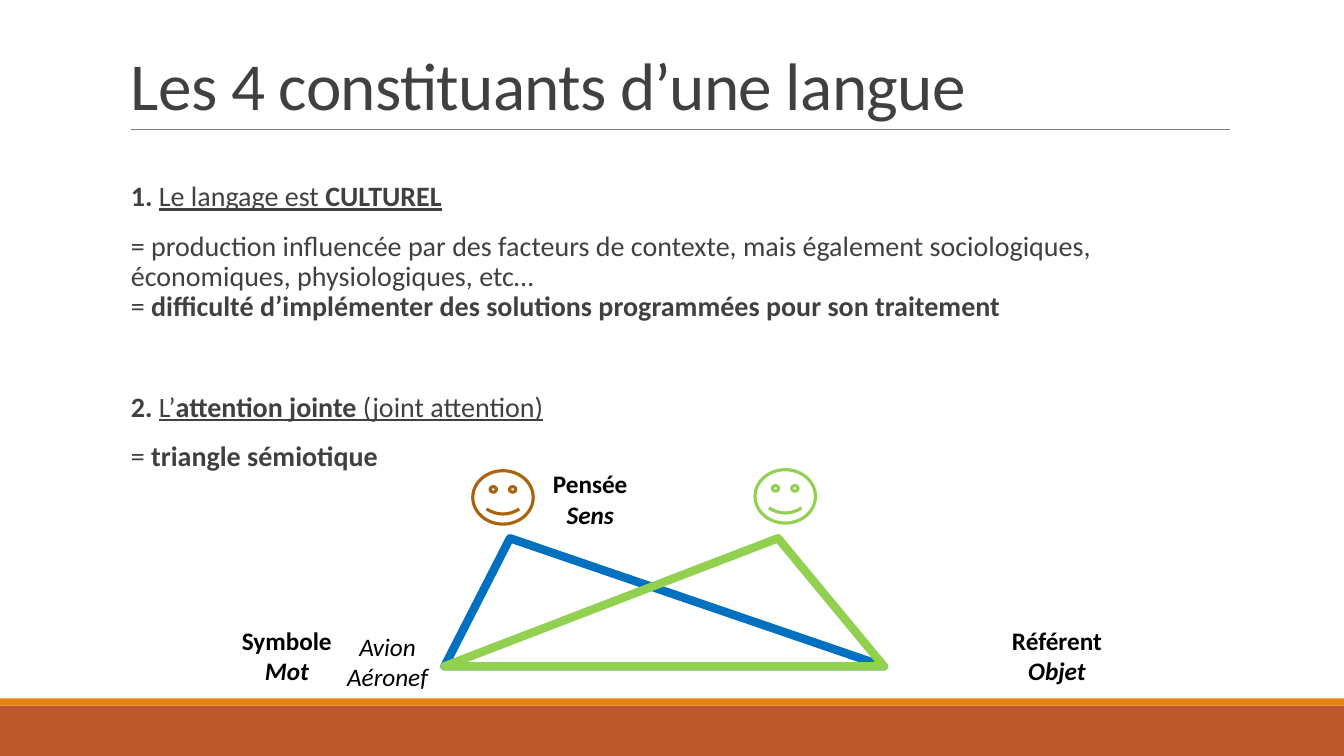
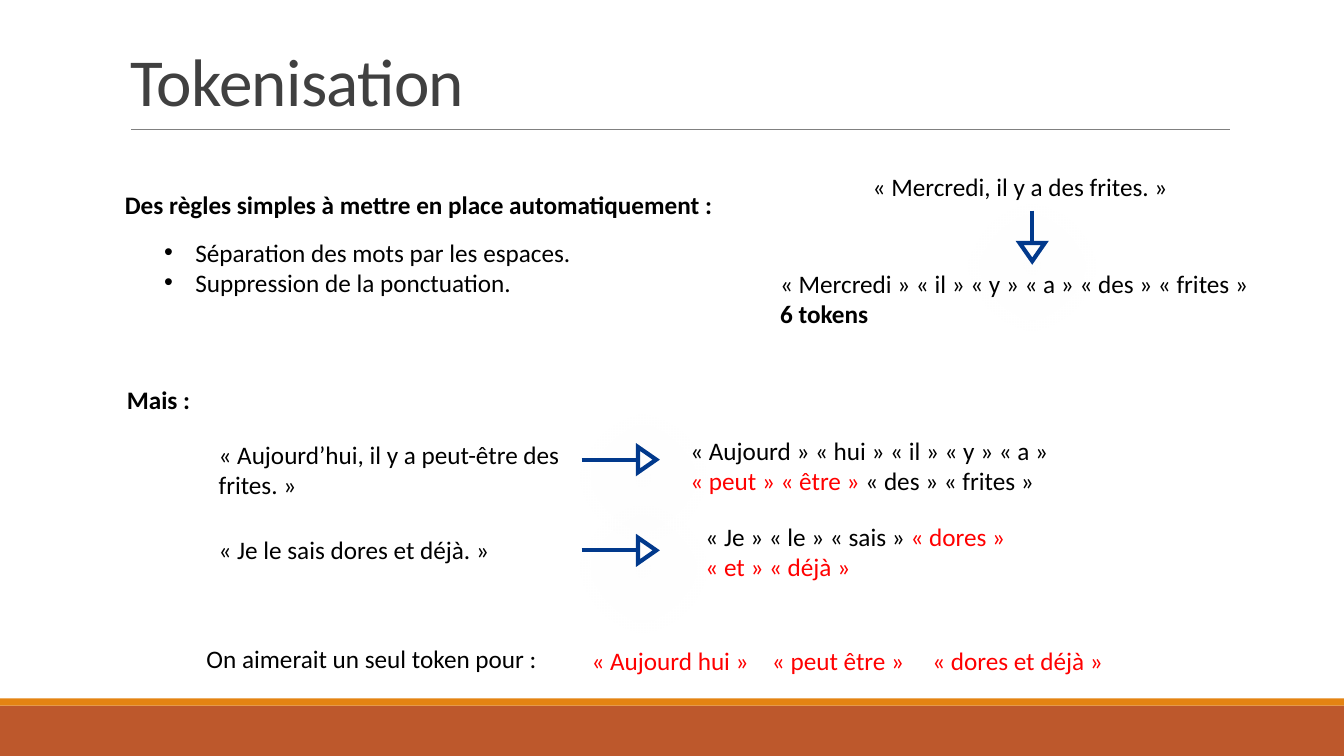
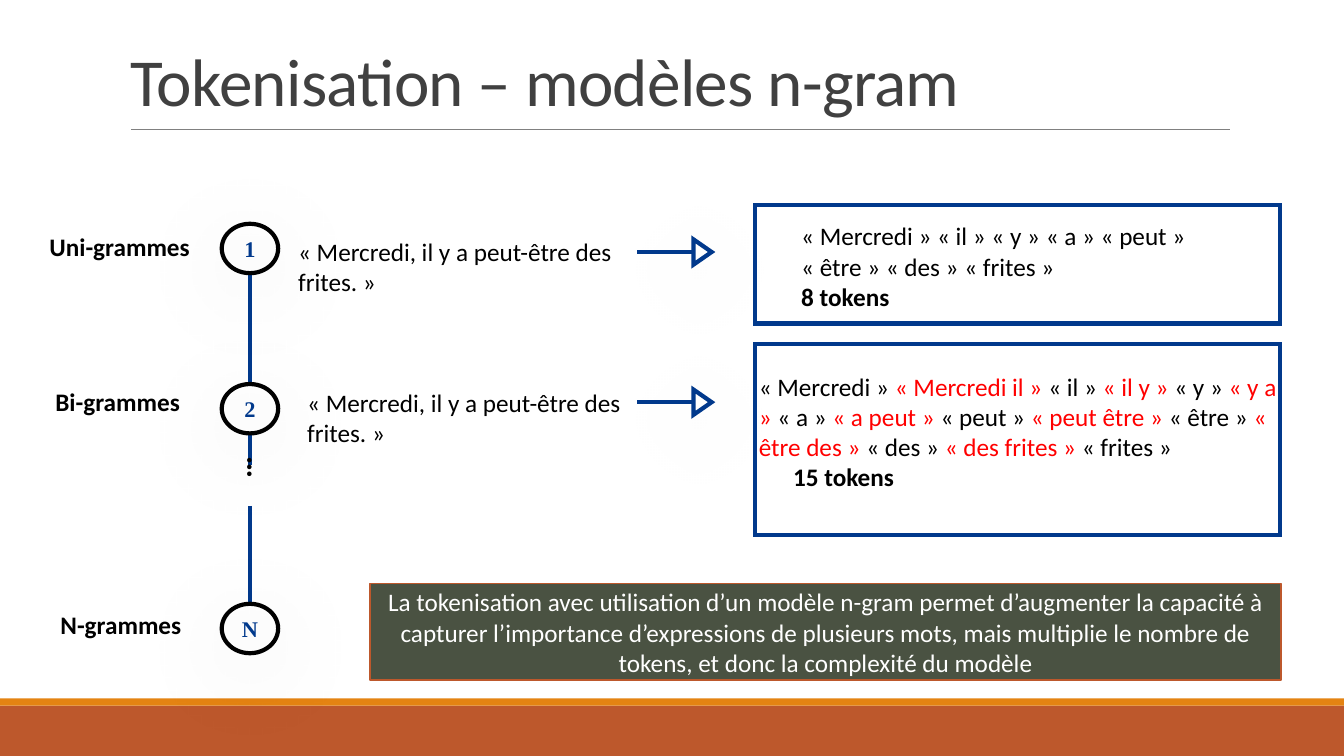
from dataclasses import dataclass
from itertools import zip_longest
from typing import NamedTuple, Optional

from lxml.etree import SubElement
from pptx import Presentation
from pptx.dml.color import RGBColor
from pptx.enum.shapes import MSO_CONNECTOR, MSO_SHAPE as Geo
from pptx.enum.text import MSO_ANCHOR as Anchor, PP_ALIGN as Align
from pptx.oxml.ns import qn
from pptx.util import Inches, Pt

COLS, ROWS = 133.33, 75  # grid cells of a tenth of an inch
NBSP = chr(160)


def cells(n: float) -> int:
    return Inches(n / 10)


def rgb(code: str) -> RGBColor:
    return RGBColor.from_string(code)


@dataclass(frozen=True)
class Theme:
    font: str = "Calibri"
    node_font: str = "Times New Roman"
    title: float = 48
    lead: float = 20
    body: float = 18
    node: float = 16
    dots: float = 22
    thick: float = 3
    black: RGBColor = rgb("000000")
    white: RGBColor = rgb("FFFFFF")
    grey: RGBColor = rgb("404040")
    rule: RGBColor = rgb("808080")
    band: RGBColor = rgb("BD582C")
    stripe: RGBColor = rgb("E48312")
    red: RGBColor = rgb("FF0000")
    navy: RGBColor = rgb("01398C")
    blue: RGBColor = rgb("0070C0")
    green: RGBColor = rgb("92D050")
    brown: RGBColor = rgb("AB620D")
    olive: RGBColor = rgb("4A5242")


T = Theme()


class Box(NamedTuple):
    x: float
    y: float
    w: float
    h: float


class Run(NamedTuple):
    text: str
    bold: bool = False
    italic: bool = False
    underline: bool = False
    color: Optional[RGBColor] = None


@dataclass(frozen=True)
class Para:
    runs: tuple
    align: Align = Align.LEFT
    before: float = 0
    after: float = 0
    spacing: float = 1
    indent: float = 0
    bullet: bool = False


@dataclass(frozen=True)
class Style:
    size: float = T.body
    color: RGBColor = T.black
    font: str = T.font
    anchor: Anchor = Anchor.TOP
    inset: Optional[float] = None
    tracking: int = 0


BODY = Style()
TIGHT = Style(anchor=Anchor.MIDDLE, inset=0.4)


class Triangle(NamedTuple):
    apex: float
    color: RGBColor


class Face(NamedTuple):
    x: float
    y: float
    color: RGBColor


class Level(NamedTuple):
    symbol: str
    top: float
    label: str
    label_box: Box


def para(*runs, **layout) -> Para:
    """Build a paragraph; plain strings become plain runs."""
    return Para(tuple(Run(r) if isinstance(r, str) else r for r in runs), **layout)


def quote(text: str, gap: str = NBSP) -> str:
    return f"«{gap}{text}{gap}»"


def tokens(words: str) -> str:
    return " ".join(quote(w) for w in words.split())


def write(tf, paras, style: Style = BODY) -> None:
    tf.word_wrap = True
    tf.vertical_anchor = style.anchor
    if style.inset is not None:
        tf.margin_left = tf.margin_right = cells(style.inset)
        tf.margin_top = tf.margin_bottom = cells(style.inset)
    for i, item in enumerate(paras):
        p = tf.add_paragraph() if i else tf.paragraphs[0]
        p.alignment, p.line_spacing = item.align, item.spacing
        p.space_before, p.space_after = Pt(item.before), Pt(item.after)
        if item.indent:
            props = p._p.get_or_add_pPr()
            props.set("marL", str(cells(item.indent)))
            if item.bullet:
                props.set("indent", str(-cells(item.indent)))
                SubElement(props, qn("a:buFont")).set("typeface", "Arial")
                SubElement(props, qn("a:buChar")).set("char", "•")
        for run in item.runs:
            for n, line in enumerate(run.text.split("\n")):
                if n:
                    p.add_line_break()
                if line:
                    add_run(p, line, run, style)


def add_run(p, text: str, run: Run, style: Style) -> None:
    r = p.add_run()
    r.text = text
    f = r.font
    f.name, f.size = style.font, Pt(style.size)
    f.bold, f.italic, f.underline = run.bold, run.italic, run.underline
    f.color.rgb = run.color or style.color
    if style.tracking:
        r._r.get_or_add_rPr().set("spc", str(style.tracking))


def text(s, box: Box, *paras, style: Style = BODY):
    sp = s.shapes.add_textbox(*map(cells, box))
    write(sp.text_frame,
          [para(p) if isinstance(p, (str, Run)) else p for p in paras], style)
    return sp


def shape(s, geo: Geo, box: Box, fill=None, line=None, width: float = T.thick,
          miter: bool = False, shadow: bool = False):
    sp = s.shapes.add_shape(geo, *map(cells, box))
    sp.shadow.inherit = False
    if fill is None:
        sp.fill.background()
    else:
        sp.fill.solid()
        sp.fill.fore_color.rgb = fill
    if line is None:
        sp.line.fill.background()
    else:
        sp.line.color.rgb, sp.line.width = line, Pt(width)
        if miter:
            ln = sp._element.spPr.find(qn("a:ln"))
            SubElement(ln, qn("a:miter")).set("lim", "800000")
    if shadow:
        soften(sp)
    return sp


def soften(sp) -> None:
    """Give a shape a wide, faint shadow below it."""
    effects = sp._element.spPr.find(qn("a:effectLst"))
    outer = SubElement(effects, qn("a:outerShdw"), blurRad=str(Pt(65)),
                       dist=str(Pt(13)), dir="5400000", rotWithShape="0")
    color = SubElement(outer, qn("a:srgbClr"), val=str(T.black))
    SubElement(color, qn("a:alpha"), val="20000")


def line(s, x1: float, y1: float, x2: float, y2: float,
         color: RGBColor = T.navy, width: float = T.thick) -> None:
    c = s.shapes.add_connector(MSO_CONNECTOR.STRAIGHT,
                               *map(cells, (x1, y1, x2, y2)))
    c.line.color.rgb, c.line.width = color, Pt(width)
    SubElement(c._element.spPr, qn("a:effectLst"))


def arrow(s, x: float, y: float, length: float, down: bool = False) -> None:
    """Draw a shaft from (x, y) with an open triangle at its end."""
    w, h = 2.5, 1.8
    dx, dy = (0, 1) if down else (1, 0)
    cx, cy = x + dx * (length + h / 2), y + dy * (length + h / 2)
    head = shape(s, Geo.ISOSCELES_TRIANGLE, Box(cx - w / 2, cy - h / 2, w, h),
                 line=T.navy, miter=True, shadow=True)
    head.rotation = 180 if down else 90
    line(s, x, y, x + dx * length, y + dy * length)


def new_slide(prs, title: str, title_height: float = 9.3):
    s = prs.slides.add_slide(prs.slide_layouts[6])
    shape(s, Geo.RECTANGLE, Box(0, 70, COLS, 5), fill=T.band)
    shape(s, Geo.RECTANGLE, Box(0, 69.3, COLS, 0.7), fill=T.stripe)
    line(s, 13, 12.8, 122, 12.8, T.rule, 0.5)
    text(s, Box(12, 3.1, 110, title_height), para(title, spacing=0.85),
         style=Style(T.title, T.grey, anchor=Anchor.BOTTOM, tracking=-50))
    return s


def constituents(prs) -> None:
    s = new_slide(prs, "Les 4 constituants d’une langue", 9.7)
    gaps = dict(before=12, after=2, spacing=0.9)
    text(s, Box(12, 17.6, 110, 47.5),
         para(Run("1. ", bold=True), Run("Le langage est ", underline=True),
              Run("CULTUREL", bold=True, underline=True), **gaps),
         para("= production influencée par des facteurs de contexte, mais également "
              "sociologiques, économiques, physiologiques, etc…\n= ",
              Run("difficulté d’implémenter des solutions programmées "
                  "pour son traitement", bold=True), **gaps),
         para(Run("2. ", bold=True), Run("L’", underline=True),
              Run("attention jointe ", bold=True, underline=True),
              Run("(joint attention)", underline=True), **{**gaps, "before": 48}),
         para("= ", Run("triangle sémiotique", bold=True), **gaps),
         style=Style(T.lead, T.grey))

    for tri in (Triangle(0.149, T.blue), Triangle(0.759, T.green)):
        sp = shape(s, Geo.ISOSCELES_TRIANGLE, Box(44.1, 53.4, 43.6, 12.7),
                   line=tri.color, width=6)
        sp.adjustments[0] = tri.apex
    for face in (Face(46.9, 46.7, T.brown), Face(74.9, 46.6, T.green)):
        shape(s, Geo.SMILEY_FACE, Box(face.x, face.y, 6, 5.3),
              line=face.color, width=2.25)

    for x, y, term, example, strong in (
            (31, 62.1, "Avion", "Aéronef", False),
            (21, 61.5, "Symbole", "Mot", True),
            (97.4, 61.5, "Référent", "Objet", True),
            (51.1, 46, "Pensée", "Sens", True)):
        text(s, Box(x, y, 14.9, 7.1),
             para(Run(term, strong, not strong), align=Align.CENTER),
             para(Run(example, strong, True), align=Align.CENTER))


def tokenisation(prs) -> None:
    s = new_slide(prs, "Tokenisation")
    text(s, Box(11.4, 18.3, 67.4, 4),
         Run("Des règles simples à mettre en place automatiquement :", bold=True))
    text(s, Box(15.3, 23, 67.4, 7.1),
         *(para(rule, indent=3.1, bullet=True) for rule in (
             "Séparation des mots par les espaces.",
             "Suppression de la ponctuation.")))

    text(s, Box(85.6, 16.5, 33.7, 4), quote("Mercredi, il y a des frites."))
    arrow(s, 102.4, 20.9, 3.2, down=True)
    text(s, Box(76.4, 26.1, 51.9, 7.1),
         para(tokens("Mercredi il y a des frites") + "\n",
              Run("6 tokens", bold=True)))

    text(s, Box(11.6, 37.6, 8.5, 4), Run("Mais :", bold=True))
    text(s, Box(20.7, 43.1, 35.9, 7.1),
         quote("Aujourd’hui, il y a peut-être des frites."))
    text(s, Box(20.7, 52.5, 35.9, 4), quote("Je le sais dores et déjà."))
    for y in (45.6, 54.6):
        arrow(s, 57.7, y, 5.6)
    text(s, Box(67.5, 42.7, 41.2, 7.1),
         para(tokens("Aujourd hui il y a") + " ",
              Run(tokens("peut être") + " ", color=T.red),
              tokens("des frites")))
    text(s, Box(69, 51.2, 37.1, 7.1),
         para(tokens("Je le sais") + " ",
              Run(tokens("dores et déjà"), color=T.red)))

    text(s, Box(19.5, 63.3, 38.2, 4), "On aimerait un seul token pour :")
    for x, w, wanted in ((57.7, 19.1, "Aujourd hui"),
                         (75.6, 15.9, f"peut{NBSP}être"),
                         (91.5, 19.2, "dores et déjà")):
        text(s, Box(x, 63.5, w, 4), Run(quote(wanted), color=T.red))


def ngrams(prs) -> None:
    s = new_slide(prs, "Tokenisation – modèles n-gram")
    axis, node_w, node_h = 24.8, 5.6, 4.9
    for y1, y2 in ((27.1, 38.1), (43, 46.1), (50.2, 59.9)):
        line(s, axis, y1, axis, y2)
    for level in (Level("1", 22.2, "Uni-grammes", Box(4.5, 22.5, 17.5, 3.8)),
                  Level("2", 38.1, "Bi-grammes", Box(5.1, 37.9, 15.4, 3.8)),
                  Level("N", 59.9, "N-grammes", Box(5.6, 60, 15.4, 3.8))):
        node = shape(s, Geo.OVAL, Box(axis - node_w / 2, level.top, node_w, node_h),
                     line=T.black, shadow=True)
        write(node.text_frame,
              [para(Run(level.symbol, bold=True), align=Align.CENTER)],
              Style(T.node, T.navy, T.node_font, Anchor.MIDDLE, 0.4))
        text(s, level.label_box, Run(level.label, bold=True), style=TIGHT)
    dots = text(s, Box(22.6, 45.8, 6.3, 4.5), Run("…", bold=True),
                style=Style(T.dots, anchor=Anchor.MIDDLE, inset=0.4))
    dots.rotation = 90

    for x, y, arrow_y in ((28.6, 22.9, 25), (29.5, 37.9, 39.9)):
        text(s, Box(x, y, 33.7, 7.1),
             quote("Mercredi, il y a peut-être des frites."))
        arrow(s, 63.2, arrow_y, 5.6)
    for y, h in ((20.3, 11.8), (34.1, 19)):
        shape(s, Geo.RECTANGLE, Box(74.9, y, 52.1, h), line=T.navy, miter=True)

    sentence = "Mercredi il y a peut être des frites"
    words = sentence.split()
    text(s, Box(78.5, 21.4, 45.1, 10.1),
         para(tokens(sentence) + "\n", Run("8 tokens", bold=True)))
    runs = []
    for word, follower in zip_longest(words, words[1:]):
        runs.append(Run(quote(word) + (" " if follower else "")))
        if follower:
            runs.append(Run(quote(f"{word} {follower}", " ") + " ", color=T.red))
    text(s, Box(74.3, 36.3, 53.4, 13.1), para(*runs),
         para(Run("15 tokens", bold=True), indent=3.4))

    note = shape(s, Geo.RECTANGLE, Box(36.7, 57.9, 90.4, 9.6),
                 fill=T.olive, line=T.band, width=1.25)
    write(note.text_frame,
          [para("La tokenisation avec utilisation d’un modèle n-gram permet "
                "d’augmenter la capacité à capturer l’importance d’expressions de "
                "plusieurs mots, mais multiplie le nombre de tokens, et donc la "
                "complexité du modèle", align=Align.CENTER)],
          Style(color=T.white, anchor=Anchor.MIDDLE))


def main() -> None:
    prs = Presentation()
    prs.slide_width, prs.slide_height = cells(COLS), cells(ROWS)
    for build in (constituents, tokenisation, ngrams):
        build(prs)
    prs.save("out.pptx")


if __name__ == "__main__":
    main()
